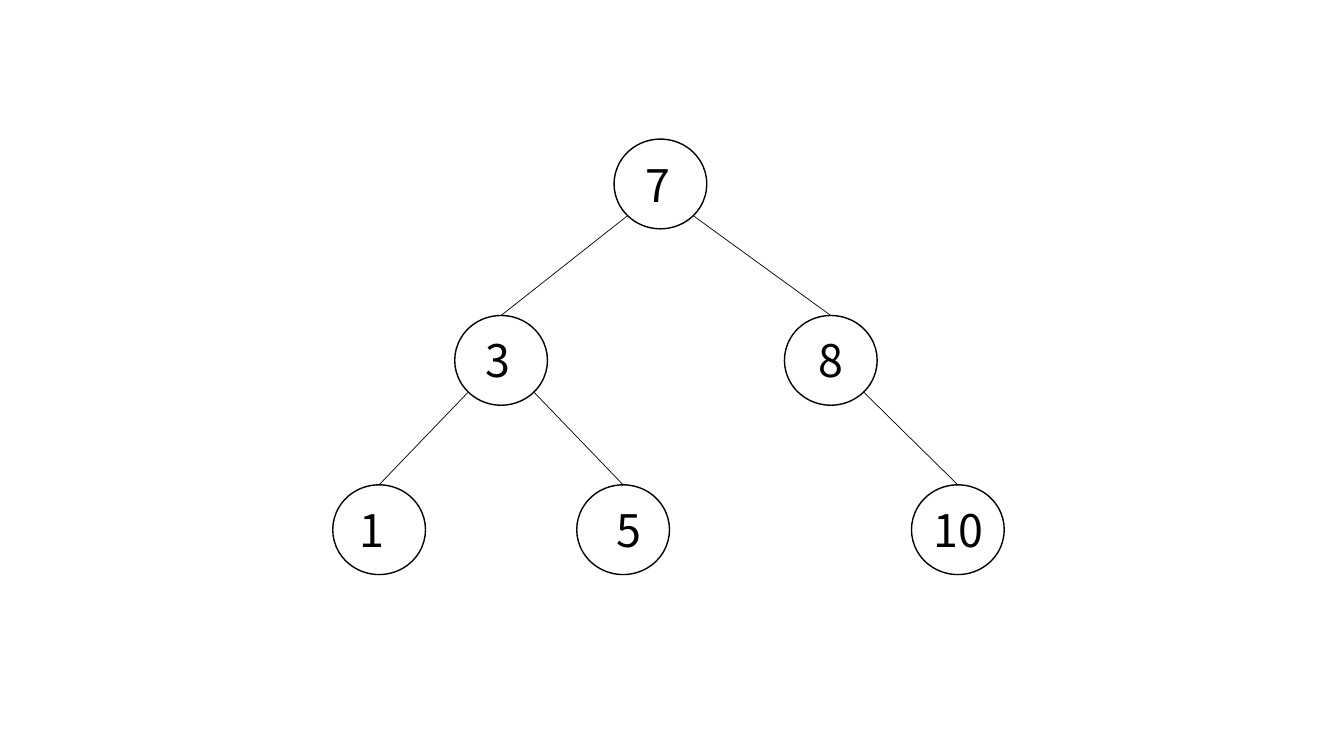
"""Draw a binary search tree with six numbered nodes."""
import math

from lxml import etree
from pptx import Presentation
from pptx.dml.color import RGBColor
from pptx.enum import shapes, text
from pptx.oxml import ns
from pptx.util import Inches, Pt

COLORS = {"ink": "000000"}
INK = RGBColor.from_string(COLORS["ink"])
FONT = "Noto Sans CJK KR"
NODE_WIDTH, NODE_HEIGHT = 0.92, 0.89
LABEL_HEIGHT = 0.64

# value: (node left, node top, label left, label top, label width)
NODES = {
    "7": (6.09, 1.38, 6.3, 1.52, 0.46),
    "3": (4.51, 3.13, 4.72, 3.25, 0.45),
    "8": (7.78, 3.13, 8.02, 3.25, 0.45),
    "1": (3.3, 4.81, 3.47, 4.94, 0.45),
    "5": (5.72, 4.81, 6.02, 4.94, 0.45),
    "10": (9.04, 4.81, 9.16, 4.94, 0.7),
}
EDGES = [("7", "3"), ("7", "8"), ("3", "1"), ("3", "5"), ("8", "10")]

deck = Presentation()
deck.slide_width, deck.slide_height = Inches(13.33), Inches(7.5)
page = deck.slides.add_slide(deck.slide_layouts[6])

circles = {}
for value, (left, top, label_left, label_top, label_width) in NODES.items():
    circle = page.shapes.add_shape(
        shapes.MSO_SHAPE.OVAL, Inches(left), Inches(top),
        Inches(NODE_WIDTH), Inches(NODE_HEIGHT))
    circle.shadow.inherit = False
    circle.fill.background()
    circle.line.color.rgb = INK
    circle.line.width = Pt(1)
    circles[value] = circle

    box = page.shapes.add_textbox(
        Inches(label_left), Inches(label_top),
        Inches(label_width), Inches(LABEL_HEIGHT))
    frame = box.text_frame
    frame.word_wrap = False
    frame.auto_size = text.MSO_AUTO_SIZE.SHAPE_TO_FIT_TEXT
    para = frame.paragraphs[0]
    para.text = value
    para.font.name = FONT
    para.font.size = Pt(32)
    para.font.color.rgb = INK

diagonal = math.sqrt(0.5) / 2
for parent, child in EDGES:
    parent_left, parent_top = NODES[parent][:2]
    child_left, child_top = NODES[child][:2]
    side = math.copysign(diagonal, child_left - parent_left)
    edge = page.shapes.add_connector(
        shapes.MSO_CONNECTOR.STRAIGHT,
        Inches(parent_left + NODE_WIDTH * (0.5 + side)),
        Inches(parent_top + NODE_HEIGHT * (0.5 + diagonal)),
        Inches(child_left + NODE_WIDTH / 2), Inches(child_top))
    edge.end_connect(circles[child], 0)
    edge.line.color.rgb = INK
    edge.line.width = Pt(0.5)
    etree.SubElement(edge._element.spPr, ns.qn("a:effectLst"))

deck.save("out.pptx")
